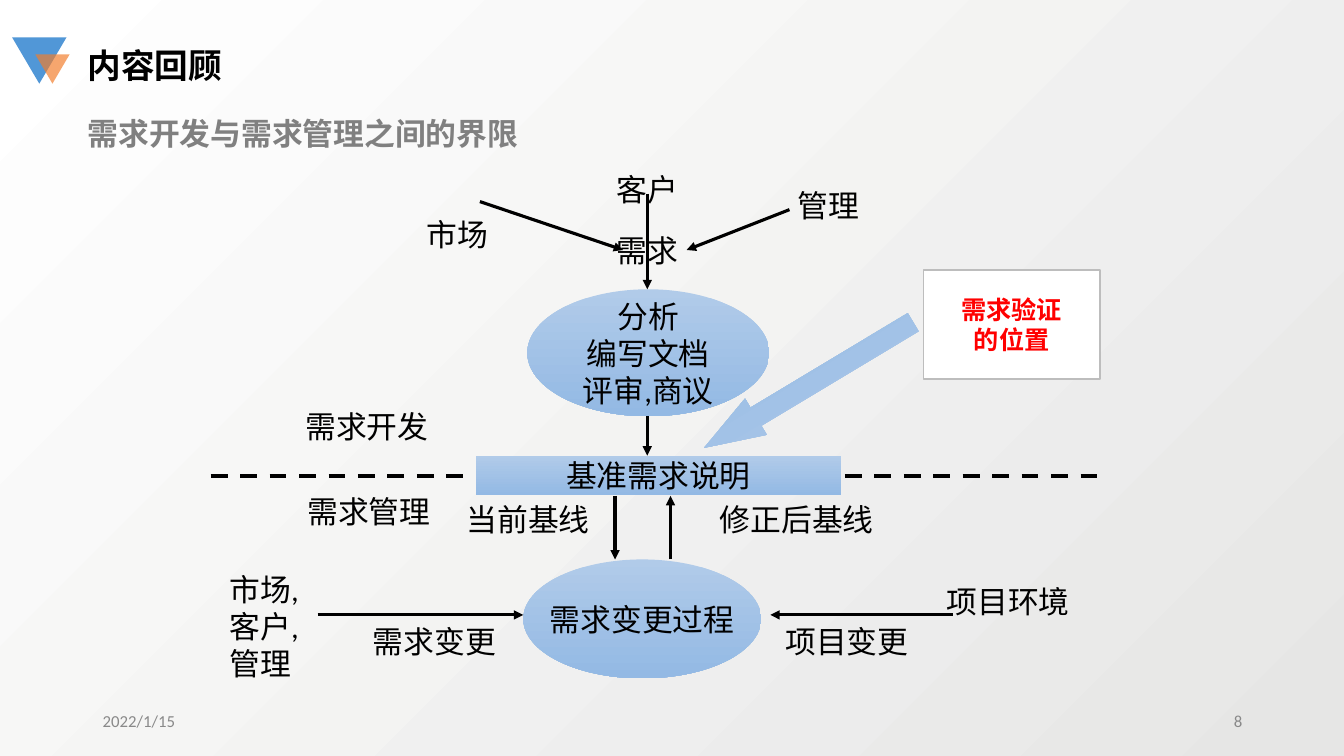
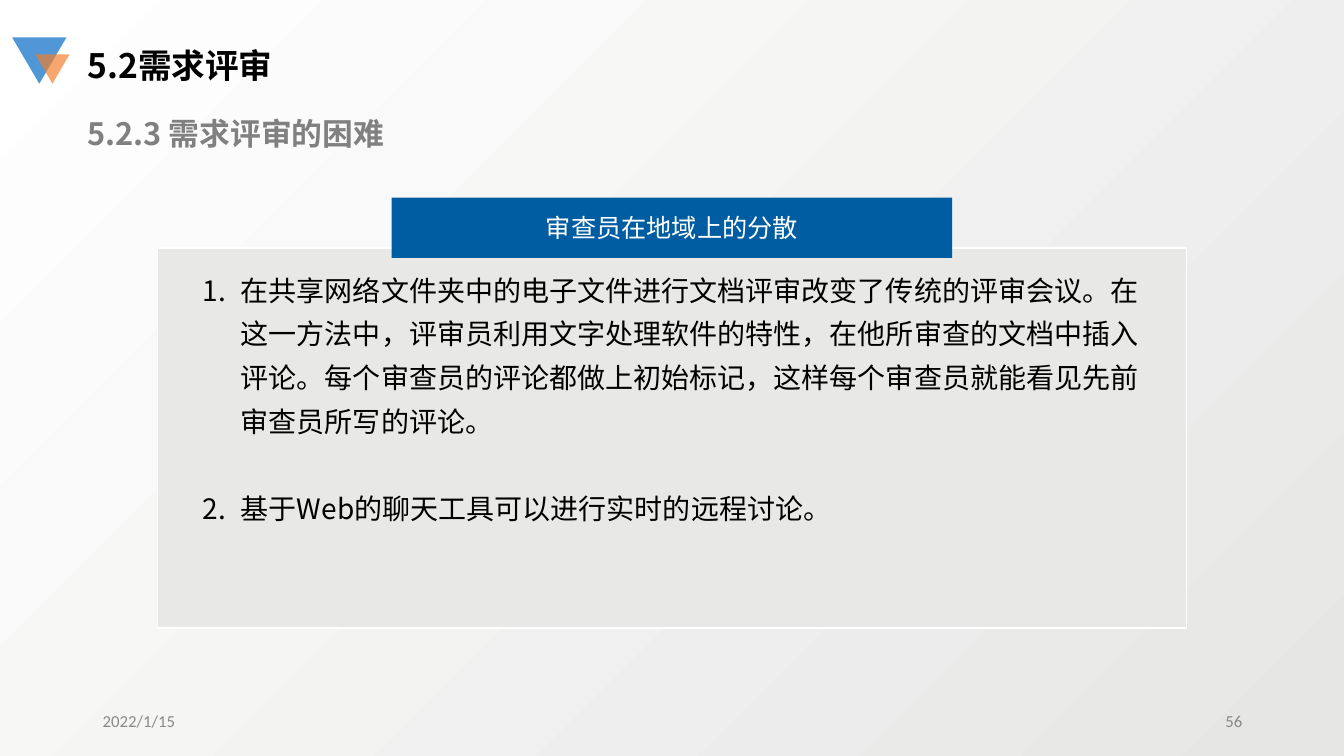
from lxml import etree
from pptx import Presentation
from pptx.dml.color import RGBColor
from pptx.enum.dml import MSO_LINE
from pptx.enum.shapes import MSO_CONNECTOR, MSO_SHAPE
from pptx.enum.text import MSO_ANCHOR, PP_ALIGN
from pptx.oxml.ns import qn
from pptx.util import Inches, Pt

COLORS = {
    "black": "000000", "white": "FFFFFF", "red": "FF0000",
    "subtitle": "808080", "footer": "898989",
    "bg_dark": "E6E6E5", "blue": "5197D7", "orange": "F37D2A",
    "flow_light": "B1CBE9", "flow_dark": "93B9E4",
    "callout_line": "BDBDBD", "panel": "E8E8E6", "heading": "005DA2",
}
HEAD_FONT, BODY_FONT = "Noto Sans CJK SC", "Calibri"
DATE = "2022/1/15"


def rgb(name):
    return RGBColor.from_string(COLORS[name])


def set_gradient(fill, start, end, angle):
    fill.gradient()
    fill.gradient_angle = angle
    for stop, name, position in zip(fill.gradient_stops, (start, end), (0, 1)):
        stop.color.rgb = rgb(name)
        stop.position = position


def write(sp, text, size=22, color="black", font=BODY_FONT, bold=False,
          align=PP_ALIGN.LEFT, anchor=MSO_ANCHOR.TOP, wrap=True,
          numbered=False, spacing=None, gap=0):
    """Fill a shape with text, one paragraph for each line."""
    tf = sp.text_frame
    tf.word_wrap = wrap
    tf.vertical_anchor = anchor
    for i, line in enumerate(text.split("\n")):
        p = tf.paragraphs[0] if i == 0 else tf.add_paragraph()
        p.alignment = align
        if spacing:
            p.line_spacing = spacing
        if i and gap:
            p.space_before = Pt(gap)
        if numbered:
            pPr = p._p.get_or_add_pPr()
            pPr.set("marL", str(Inches(0.38)))
            pPr.set("indent", str(Inches(-0.38)))
            font_tag = etree.SubElement(pPr, qn("a:buFont"))
            font_tag.set("typeface", font)
            etree.SubElement(pPr, qn("a:buAutoNum")).set("type", "arabicPeriod")
        r = p.add_run()
        r.text = line
        r.font.size, r.font.bold, r.font.name = Pt(size), bold, font
        r.font.color.rgb = rgb(color)
        etree.SubElement(r._r.get_or_add_rPr(), qn("a:ea")).set("typeface", font)


def add_text(slide, x, y, w, h, text, **fmt):
    sp = slide.shapes.add_textbox(Inches(x), Inches(y), Inches(w), Inches(h))
    write(sp, text, **fmt)
    return sp


def add_box(slide, kind, x, y, w, h, fill=None, line=None, rotation=0):
    """Preset shape; without a fill colour it takes the flow gradient."""
    sp = slide.shapes.add_shape(kind, Inches(x), Inches(y), Inches(w), Inches(h))
    sp.shadow.inherit = False
    sp.rotation = rotation
    if fill:
        sp.fill.solid()
        sp.fill.fore_color.rgb = rgb(fill)
    else:
        set_gradient(sp.fill, "flow_light", "flow_dark", 270)
    if line:
        sp.line.color.rgb = rgb(line)
        sp.line.width = Pt(1)
    else:
        sp.line.fill.background()
    return sp


def add_line(slide, x1, y1, x2, y2, width=2.25, dashed=False):
    """Black line: an arrow, or a plain dashed rule."""
    line = slide.shapes.add_connector(
        MSO_CONNECTOR.STRAIGHT, Inches(x1), Inches(y1), Inches(x2), Inches(y2))
    line.line.color.rgb = rgb("black")
    line.line.width = Pt(width)
    if dashed:
        line.line.dash_style = MSO_LINE.DASH
    else:
        ln = line.line._get_or_add_ln()
        etree.SubElement(ln, qn("a:tailEnd")).set("type", "triangle")
    etree.SubElement(line._element.spPr, qn("a:effectLst"))


def add_base(prs, title, subtitle, number):
    """Blank slide with background, emblem, titles and footer."""
    slide = prs.slides.add_slide(prs.slide_layouts[6])
    set_gradient(slide.background.fill, "bg_dark", "white", 135)

    # Emblem
    triangle = MSO_SHAPE.ISOSCELES_TRIANGLE
    add_box(slide, triangle, 0.12, 0.37, 0.54, 0.46, "blue", rotation=180)
    sp = add_box(slide, triangle, 0.35, 0.54, 0.34, 0.29, "orange", rotation=180)
    color = sp._element.spPr.find(qn("a:solidFill"))[0]
    etree.SubElement(color, qn("a:alpha")).set("val", "68000")

    # Titles
    add_text(slide, 0.77, 0.4, 6, 0.5, title, size=24, font=HEAD_FONT, bold=True)
    add_text(slide, 0.77, 1.09, 6, 0.47, subtitle, color="subtitle",
             font=HEAD_FONT, bold=True)

    # Footer
    footer = dict(size=12, color="footer", anchor=MSO_ANCHOR.MIDDLE)
    add_text(slide, 0.92, 6.95, 3, 0.4, DATE, **footer)
    add_text(slide, 9.42, 6.95, 3, 0.4, str(number), align=PP_ALIGN.RIGHT, **footer)
    return slide


def add_label(slide, x, y, text):
    """Flow label whose box fits its text."""
    lines = text.split("\n")
    w = 0.2 + max(0.08 if c == "," else 0.305 for c in "字") * len(lines[0].strip(","))
    w += 0.08 * lines[0].count(",")
    add_text(slide, x, y, w, 0.1 + 0.37 * len(lines), text, wrap=False)


def add_flow(slide, left, top):
    """Requirements flow between development and management."""
    centred = dict(align=PP_ALIGN.CENTER, anchor=MSO_ANCHOR.MIDDLE, wrap=False)

    # Stages
    for kind, x, y, w, h, text in (
        (MSO_SHAPE.OVAL, 3.23, 1.27, 2.4, 1.26, "分析\n编写文档\n评审,商议"),
        (MSO_SHAPE.RECTANGLE, 2.72, 2.92, 3.62, 0.39, "基准需求说明"),
        (MSO_SHAPE.OVAL, 3.19, 3.95, 2.36, 1.18, "需求变更过程"),
    ):
        write(add_box(slide, kind, left + x, top + y, w, h), text, **centred)

    # Boundary
    for x1, x2 in ((0.09, 2.68), (6.38, 8.98)):
        add_line(slide, left + x1, top + 3.12, left + x2, top + 3.12,
                 width=3, dashed=True)

    # Arrows
    for x1, y1, x2, y2 in (
        (2.76, 0.4, 4.18, 0.88), (4.42, 0.32, 4.42, 1.27),
        (5.83, 0.48, 4.81, 0.88), (4.42, 2.53, 4.42, 2.92),
        (4.1, 3.32, 4.1, 3.95), (4.65, 3.95, 4.65, 3.32),
        (1.15, 4.5, 3.19, 4.5), (7.45, 4.5, 5.64, 4.5),
    ):
        add_line(slide, left + x1, top + y1, left + x2, top + y2)

    # Labels
    for x, y, text in (
        (2.13, 0.49, "市场"), (4.02, 0.04, "客户"),
        (4.02, 0.65, "需求"), (5.81, 0.2, "管理"),
        (0.93, 2.4, "需求开发"), (0.95, 3.24, "需求管理"),
        (2.53, 3.32, "当前基线"), (5.04, 3.32, "修正后基线"),
        (0.18, 4.01, "市场,\n客户,\n管理"), (1.6, 4.53, "需求变更"),
        (5.69, 4.53, "项目变更"), (7.29, 4.13, "项目环境"),
    ):
        add_label(slide, left + x, top + y, text)

    # Callout
    sp = add_box(slide, MSO_SHAPE.RECTANGLE, left + 7.16, top + 1.08, 1.75, 1.08,
                 "white", "callout_line")
    write(sp, "需求验证\n的位置", size=18, color="red", bold=True, **centred)
    sp = add_box(slide, MSO_SHAPE.RIGHT_ARROW, left + 4.81, top + 2.01, 2.42, 0.42,
                 rotation=149)
    sp.adjustments[0], sp.adjustments[1] = 0.5, 1.43


def add_panel(slide, x, y, w, h, heading, items):
    """Panel of numbered items under a heading that overlaps its top edge."""
    add_box(slide, MSO_SHAPE.RECTANGLE, x, y, w, h, "panel", "white")
    head_w = 5.56
    sp = add_box(slide, MSO_SHAPE.RECTANGLE, x + (w - head_w) / 2, y - 0.5,
                 head_w, 0.6, "heading")
    write(sp, heading, size=18, color="white", font=HEAD_FONT,
          align=PP_ALIGN.CENTER, anchor=MSO_ANCHOR.MIDDLE)
    add_text(slide, x + 0.35, y + 0.1, 9.55, 2.66, "\n".join(items), size=20,
             font=HEAD_FONT, numbered=True, spacing=1.3, gap=31)


def main():
    prs = Presentation()
    prs.slide_width, prs.slide_height = Inches(13.33), Inches(7.5)

    slide = add_base(prs, "内容回顾", "需求开发与需求管理之间的界限", 8)
    add_flow(slide, 2, 1.6)

    slide = add_base(prs, "5.2需求评审", "5.2.3 需求评审的困难", 56)
    add_panel(slide, 1.56, 2.46, 10.21, 3.77, "审查员在地域上的分散", (
        "在共享网络文件夹中的电子文件进行文档评审改变了传统的评审会议。"
        "在这一方法中，评审员利用文字处理软件的特性，在他所审查的文档中插入评论。"
        "每个审查员的评论都做上初始标记，这样每个审查员就能看见先前审查员所写的评论。",
        "基于Web的聊天工具可以进行实时的远程讨论。",
    ))
    prs.save("out.pptx")


if __name__ == "__main__":
    main()
